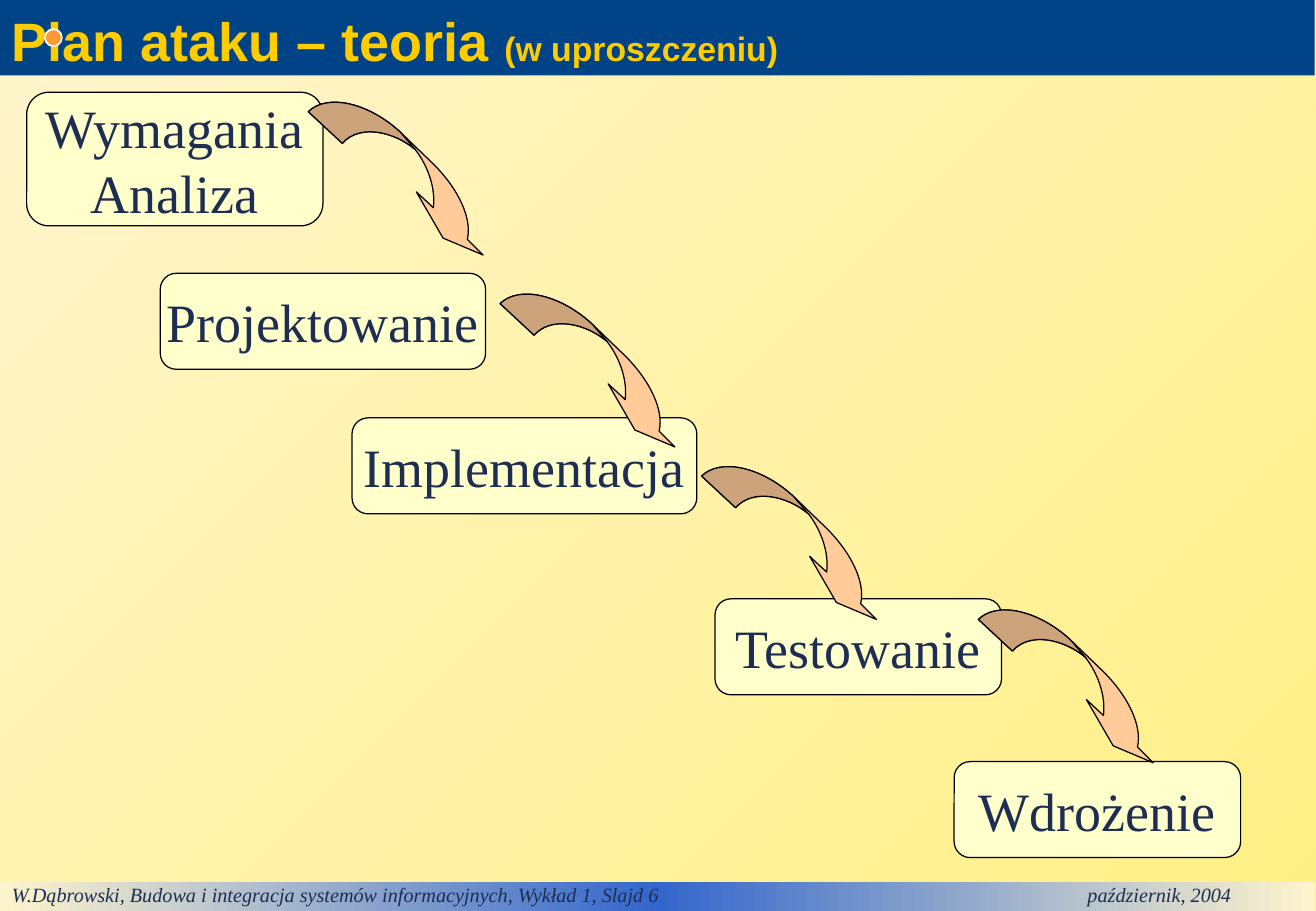
from copy import deepcopy
from pptx import Presentation
from pptx.dml.color import RGBColor
from pptx.enum.shapes import MSO_SHAPE as SHAPE
from pptx.enum.text import MSO_ANCHOR as ANCHOR, PP_ALIGN as ALIGN
from pptx.oxml import parse_xml
from pptx.oxml.ns import nsdecls, qn
from pptx.util import Inches, Pt

THEME = {
    "cream": "FFF5CD", "yellow": "FFF085", "blue": "3366CC", "navy": "004386",
    "gold": "FFCC00", "orange": "FF9933", "white": "FFFFFF", "black": "000000",
    "box": "FFFFCC", "ink": "1E2E53", "arrow": "FFCC99",
    "sans": "Arial", "serif": "Times New Roman",
    "large": Pt(32), "medium": Pt(20), "small": Pt(12), "hairline": Pt(0.75),
}


def color(name):
    return RGBColor.from_string(THEME[name])


def style(sp, fill=None, line=None, width=THEME["hairline"]):
    sp.shadow.inherit = False
    if fill:
        sp.fill.solid()
        sp.fill.fore_color.rgb = color(fill)
    if line:
        sp.line.color.rgb = color(line)
        sp.line.width = width
    else:
        sp.line.fill.background()


prs = Presentation()
prs.slide_width, prs.slide_height = Inches(10.84), Inches(7.5)
s = prs.slides.add_slide(prs.slide_layouts[6])
shapes = s.shapes

footer = shapes.add_shape(SHAPE.RECTANGLE, 0, Inches(7.26), Inches(10.83), Inches(0.24))
style(footer)
footer.fill.gradient()
stops = footer._element.spPr.find(qn("a:gradFill")).find(qn("a:gsLst"))
stops.insert(1, deepcopy(stops[0]))
s.background.fill.gradient()
for fill, angle, names in [
    (s.background.fill, 135, ["yellow", "cream"]),
    (footer.fill, 180, ["cream", "blue", "cream"]),
]:
    fill.gradient_angle = angle
    for i, (stop, name) in enumerate(zip(fill.gradient_stops, names)):
        stop.position = i / (len(names) - 1)
        stop.color.rgb = color(name)

title = shapes.add_shape(SHAPE.RECTANGLE, 0, 0, Inches(10.83), Inches(0.62))
style(title, "navy")

dot = shapes.add_shape(SHAPE.OVAL, Inches(0.37), Inches(0.24), Inches(0.14), Inches(0.14))
style(dot, "orange", "white", Pt(1))

texts = [
    (title, ANCHOR.TOP, 0.06, 0.05, ALIGN.LEFT,
     [("Plan ataku – teoria ", "large"), ("(w uproszczeniu)", "medium")], "sans", "gold"),
    (footer, ANCHOR.TOP, 0, 0.04, ALIGN.LEFT,
     [("W.Dąbrowski, Budowa i integracja systemów informacyjnych, Wykład 1, Slajd 6"
       "\tpaździernik, 2004", "small")], "serif", "ink"),
]
for label, x, y, w, h in [
    ("Wymagania\vAnaliza", 0.22, 0.76, 2.44, 1.1),
    ("Projektowanie", 1.32, 2.25, 2.68, 0.79),
    ("Implementacja", 2.9, 3.44, 2.84, 0.79),
    ("Testowanie", 5.89, 4.93, 2.36, 0.79),
    ("Wdrożenie", 7.86, 6.27, 2.36, 0.79),
]:
    stage = shapes.add_shape(SHAPE.FLOWCHART_ALTERNATE_PROCESS,
                             Inches(x), Inches(y), Inches(w), Inches(h))
    style(stage, "box", "black")
    texts.append((stage, ANCHOR.MIDDLE, 0.05, 0.05, ALIGN.CENTER,
                  [(label, "large")], "serif", "ink"))

for sp, anchor, top, bottom, align, runs, font, ink in texts:
    tf = sp.text_frame
    tf.word_wrap = anchor == ANCHOR.TOP
    tf.vertical_anchor = anchor
    tf.margin_left = tf.margin_right = Inches(0.1)
    tf.margin_top, tf.margin_bottom = Inches(top), Inches(bottom)
    p = tf.paragraphs[0]
    p.alignment = align
    if sp is footer:
        p._p.get_or_add_pPr().append(parse_xml(
            f'<a:tabLst {nsdecls("a")}><a:tab pos="{Inches(8.86)}" algn="l"/></a:tabLst>'))
    for text, size in runs:
        for i, part in enumerate(text.split("\v")):
            if i:
                p.add_line_break()
            r = p.add_run()
            r.text = part
            r.font.name = THEME[font]
            r.font.size = THEME[size]
            r.font.bold = sp is title
            r.font.italic = sp is footer
            r.font.color.rgb = color(ink)

ARROW_W, ARROW_H = 144, 128
TOP_EDGE = [(0, 10), (15, -5, 49, 2, 76, 27)]
INNER_EDGE = [(70, 26, 42, 20, 28, 36)]
HEAD = [
    (103, 53), (124, 74, 135, 98, 131, 115), (144, 128), (111, 114), (89, 76),
    (103, 89), (105, 72, 98, 54, 88, 41),
]
paths = ""
for shade, outline in [
    ("norm", TOP_EDGE + HEAD + INNER_EDGE),
    ("darkenLess", TOP_EDGE + [(88, 41)] + INNER_EDGE),
]:
    paths += f'<a:path w="{ARROW_W}" h="{ARROW_H}" fill="{shade}">'
    for i, nums in enumerate(outline):
        tag = "moveTo" if i == 0 else "lnTo" if len(nums) == 2 else "cubicBezTo"
        pts = "".join(f'<a:pt x="{x}" y="{y}"/>' for x, y in zip(nums[::2], nums[1::2]))
        paths += f"<a:{tag}>{pts}</a:{tag}>"
    paths += "<a:close/></a:path>"

for x, y in [(2.54, 0.82), (4.12, 2.4), (5.78, 3.82), (8.06, 5.0)]:
    left, top = Inches(x), Inches(y)
    right, bottom = Inches(x + ARROW_W / 100), Inches(y + ARROW_H / 100)
    builder = shapes.build_freeform(left, top)
    builder.add_line_segments([(right, top), (right, bottom), (left, bottom)])
    arrow = builder.convert_to_shape()
    geometry = arrow._element.spPr.find(qn("a:custGeom"))
    geometry.replace(geometry.find(qn("a:pathLst")),
                     parse_xml(f'<a:pathLst {nsdecls("a")}>{paths}</a:pathLst>'))
    style(arrow, "arrow", "black")

prs.save("out.pptx")
